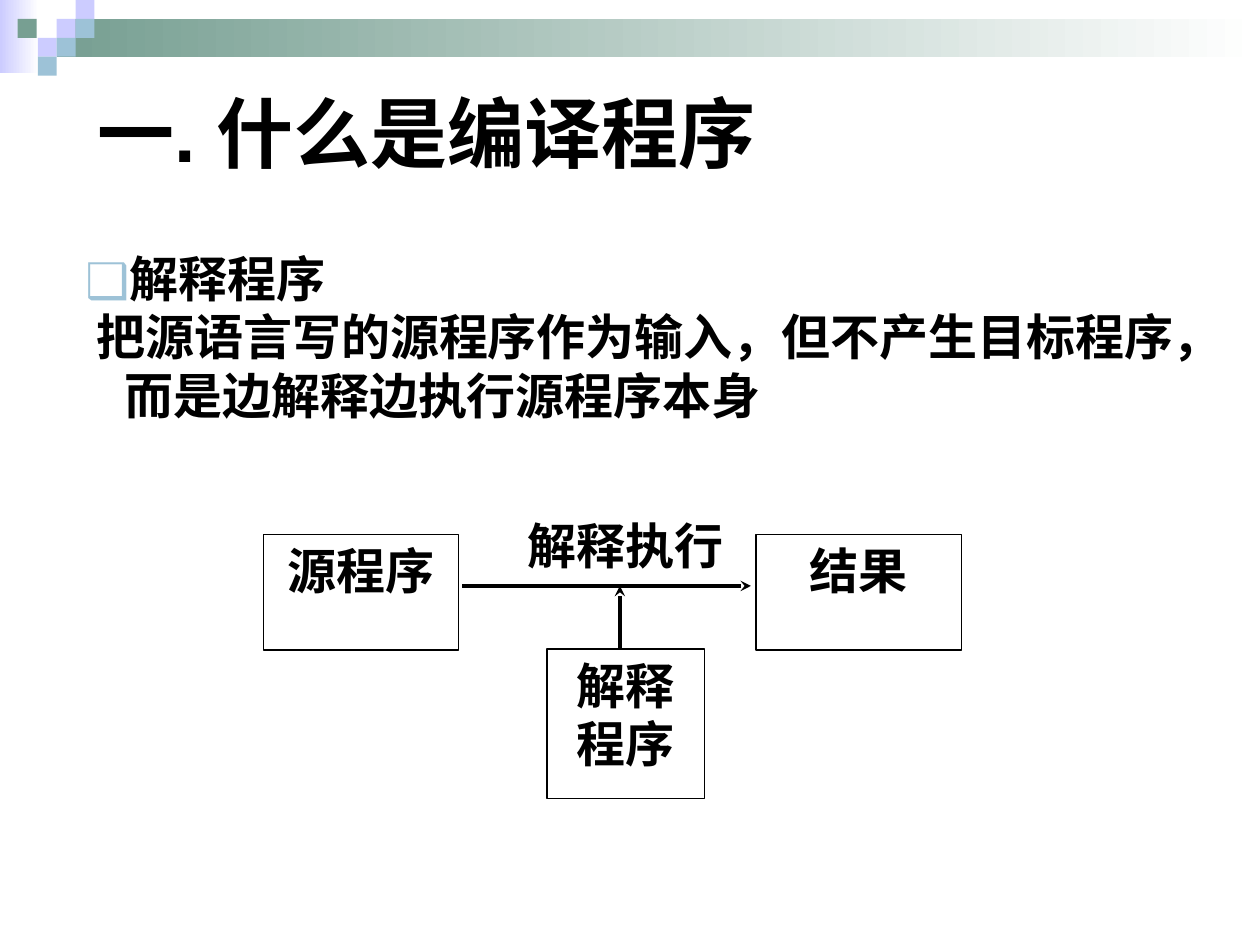
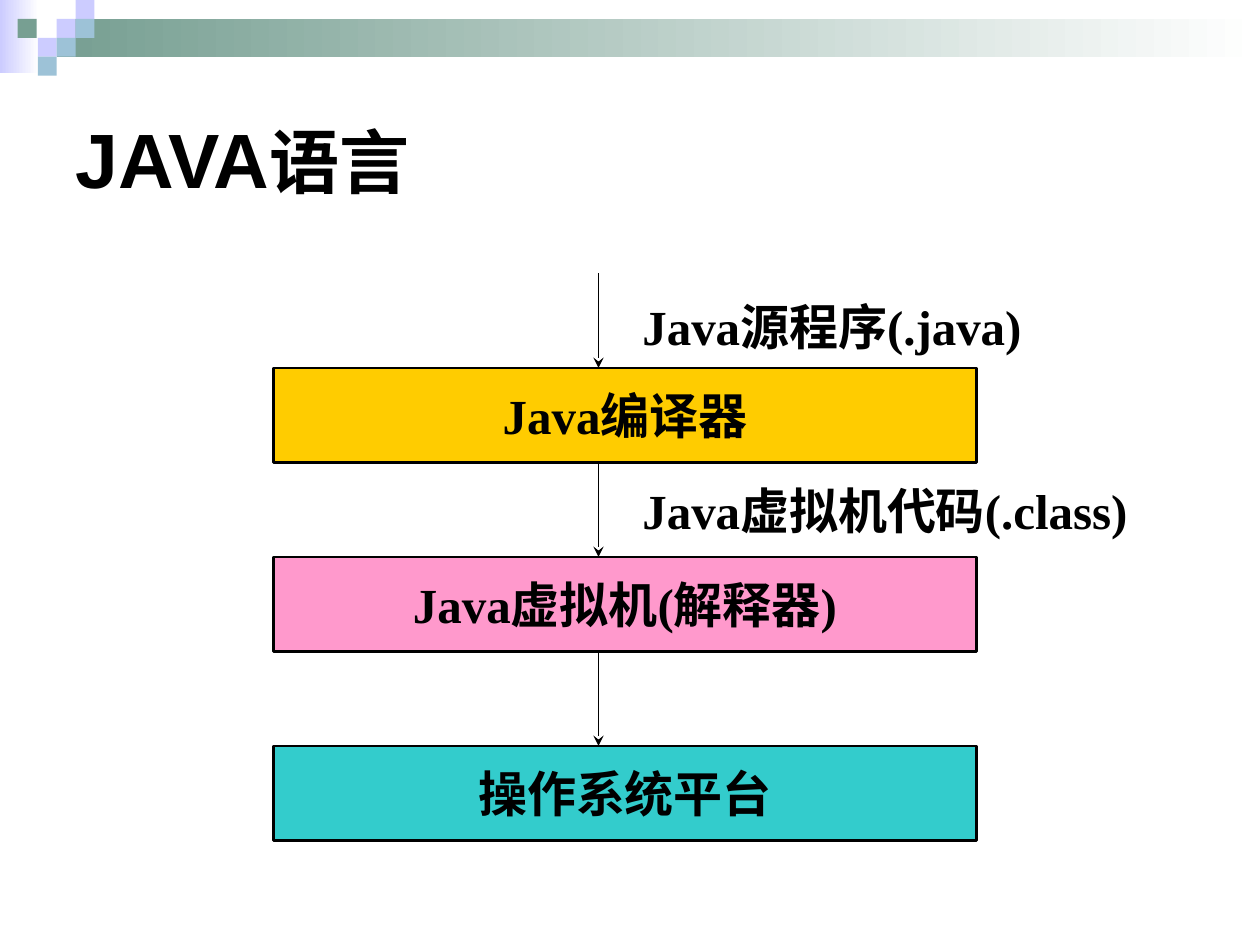
from lxml import etree
from pptx import Presentation
from pptx.dml.color import RGBColor
from pptx.enum.shapes import MSO_CONNECTOR, MSO_SHAPE
from pptx.enum.text import MSO_ANCHOR, MSO_AUTO_SIZE, PP_ALIGN
from pptx.oxml.ns import qn
from pptx.util import Inches, Pt

RECT = MSO_SHAPE.RECTANGLE
LINE = MSO_CONNECTOR.STRAIGHT
TOP, MID = MSO_ANCHOR.TOP, MSO_ANCHOR.MIDDLE
LEFT, MIDDLE = PP_ALIGN.LEFT, PP_ALIGN.CENTER
FIXED = MSO_AUTO_SIZE.NONE


class Theme:
    ink = RGBColor.from_string("000000")
    white = RGBColor.from_string("FFFFFF")
    lilac = RGBColor.from_string("CCCCFF")
    green = RGBColor.from_string("779F92")
    sky = RGBColor.from_string("9DC2D7")
    gold = RGBColor.from_string("FFCC00")
    pink = RGBColor.from_string("FF99CC")
    teal = RGBColor.from_string("33CCCC")
    sans, serif, han = "Arial", "Times New Roman", "Noto Sans CJK SC"
    head, sub, body = 44, 40, 28


def write(frame, text, size=Theme.body, font=Theme.serif, align=LEFT,
          anchor=MID, wrap=True, before=0, more=None):
    frame.auto_size = FIXED
    frame.word_wrap = wrap
    frame.vertical_anchor = anchor
    frame.margin_left = frame.margin_right = Inches(0.1)
    frame.margin_top = frame.margin_bottom = Inches(0.05)
    for i, words in enumerate(text.split("\n")):
        para = frame.add_paragraph() if i else frame.paragraphs[0]
        para.alignment = align
        para.space_before = Pt(0 if i else before)
        for part, pts in [(words, size)] + (more or []):
            run = para.add_run()
            run.text = part
            run.font.size = Pt(pts)
            run.font.bold = True
            run.font.name = font
            run.font.color.rgb = Theme.ink
            props = run.font._element
            etree.SubElement(props, qn("a:ea")).set("typeface", Theme.han)


deck = Presentation()
deck.slide_width, deck.slide_height = Inches(10), Inches(7.5)
plan = deck.slide_layouts[5]
for hold in list(plan.placeholders)[1:]:
    hold.element.getparent().remove(hold.element)
first, second = [deck.slides.add_slide(plan) for _ in range(2)]

cell = 0.15
decor = [
    (0, 0, 0.31, 0.58, Theme.lilac, True),
    (0.45, cell, 9.55, 0.3, Theme.green, True),
    (0.14, cell, cell, cell, Theme.green, False),
]
for col, row, tint in [
    (3, 1, Theme.lilac), (4, 0, Theme.lilac), (4, 1, Theme.sky),
    (2, 2, Theme.lilac), (3, 2, Theme.sky), (2, 3, Theme.sky),
]:
    decor.append((col * cell, row * cell, cell, cell, tint, False))
for x, y, w, h, tint, fade in decor:
    tile = first.shapes.add_shape(RECT, Inches(x), Inches(y), Inches(w), Inches(h))
    tile.shadow.inherit = False
    tile.line.fill.background()
    if fade:
        tile.fill.gradient()
        tile.fill.gradient_angle = 0
        for stop, tone in zip(tile.fill.gradient_stops, (tint, Theme.white)):
            stop.color.rgb = tone
    else:
        tile.fill.solid()
        tile.fill.fore_color.rgb = tint
    plan.shapes.element.append(tile.element)

for slide, x, y, w, h, text, more in [
    (first, 0.67, 0.42, 8.5, 1.25, "一. 什么是编译程序", None),
    (second, 0.5, 0.5, 9, 1.5, "JAVA", [("语言", Theme.sub)]),
]:
    title = slide.shapes.title
    title.left, title.top = Inches(x), Inches(y)
    title.width, title.height = Inches(w), Inches(h)
    write(title.text_frame, text, size=Theme.head, font=Theme.sans, more=more)

body = first.shapes.add_textbox(Inches(0.58), Inches(1.92), Inches(9.17), Inches(1.5))
write(body.text_frame,
      "解释程序\n 把源语言写的源程序作为输入，但不产生目标程序，而是边解释边执行源程序本身",
      font=Theme.han, anchor=TOP, before=7)
for i, para in enumerate(body.text_frame.paragraphs):
    props = para._p.get_or_add_pPr()
    props.set("marL", str(Inches(0.31)))
    props.set("indent", str(-Inches(0.31)))
    if i == 0:
        tint = etree.SubElement(props, qn("a:buClr"))
        etree.SubElement(tint, qn("a:srgbClr")).set("val", str(Theme.sky))
        etree.SubElement(props, qn("a:buFont")).set("typeface", Theme.han)
        etree.SubElement(props, qn("a:buChar")).set("char", "❑")
    else:
        etree.SubElement(props, qn("a:buNone"))

start, step, tall = 2.92, 1.5, 0.75
boxes = [
    (first, 2.09, 4.24, 1.55, 0.92, "源程序", None, 6),
    (first, 6, 4.24, 1.63, 0.92, "结果", None, 6),
    (first, 4.34, 5.15, 1.25, 1.19, "解释\n程序", None, 0),
]
arrows = [
    (first, 3.67, 4.65, 5.96, 4.65, 2),
    (first, 4.92, 5.15, 4.92, 4.65, 2),
]
for i, (text, tint) in enumerate([
    ("Java编译器", Theme.gold),
    ("Java虚拟机(解释器)", Theme.pink),
    ("操作系统平台", Theme.teal),
]):
    y = start + i * step
    boxes.append((second, 2.17, y, 5.58, tall, text, tint, 0))
    arrows.append((second, 4.75, y - tall, 4.75, y, 1))

for slide, x, y, w, h, text, tint, gap in boxes:
    box = slide.shapes.add_shape(RECT, Inches(x), Inches(y), Inches(w), Inches(h))
    box.shadow.inherit = False
    box.line.color.rgb = Theme.ink
    box.line.width = Pt(1.5 if tint else 0.75)
    if tint:
        box.fill.solid()
        box.fill.fore_color.rgb = tint
    else:
        box.fill.background()
    write(box.text_frame, text, align=MIDDLE, before=gap,
          anchor=MID if tint else TOP, wrap=not tint)

for slide, x, y, u, v, thick in arrows:
    arrow = slide.shapes.add_connector(LINE, Inches(x), Inches(y), Inches(u), Inches(v))
    arrow.line.color.rgb = Theme.ink
    arrow.line.width = Pt(thick)
    stroke = arrow.line._get_or_add_ln()
    etree.SubElement(stroke, qn("a:tailEnd")).set("type", "stealth")
    etree.SubElement(arrow.element.spPr, qn("a:effectLst"))

for slide, x, y, w, h, text, align in [
    (first, 4.34, 3.99, 1.25, 0.67, "解释执行", MIDDLE),
    (second, 5, 2.25, 3, 0.67, "Java源程序(.java)", LEFT),
    (second, 5, 3.67, 3.83, 0.75, "Java虚拟机代码(.class)", LEFT),
]:
    label = slide.shapes.add_textbox(Inches(x), Inches(y), Inches(w), Inches(h))
    write(label.text_frame, text, align=align, wrap=False)

deck.save("out.pptx")
